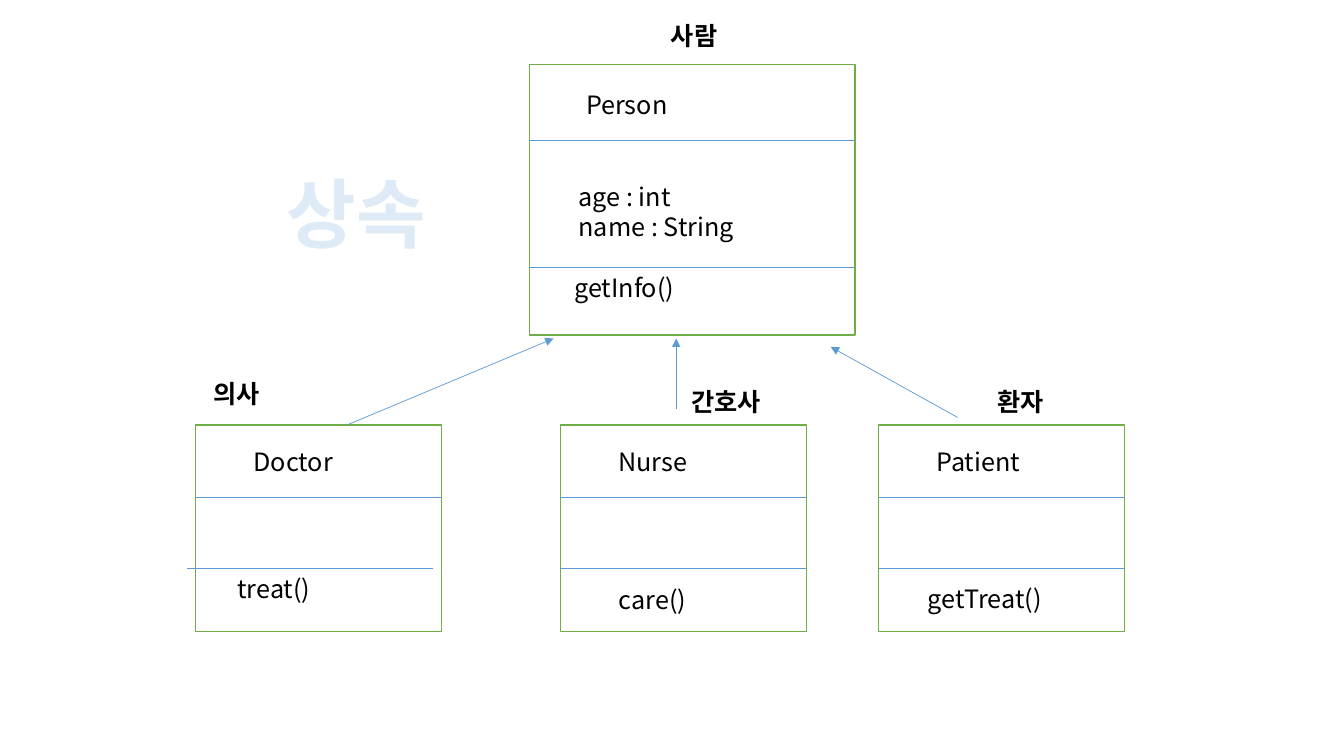
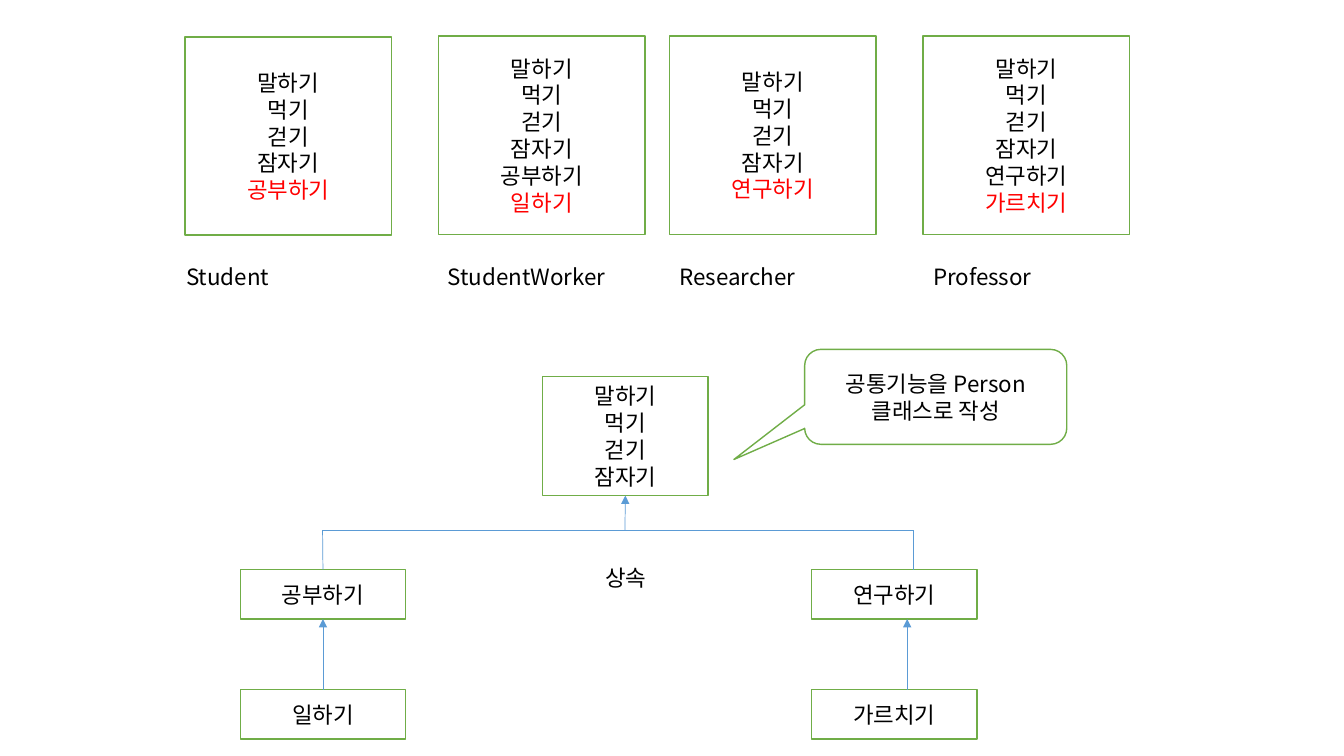
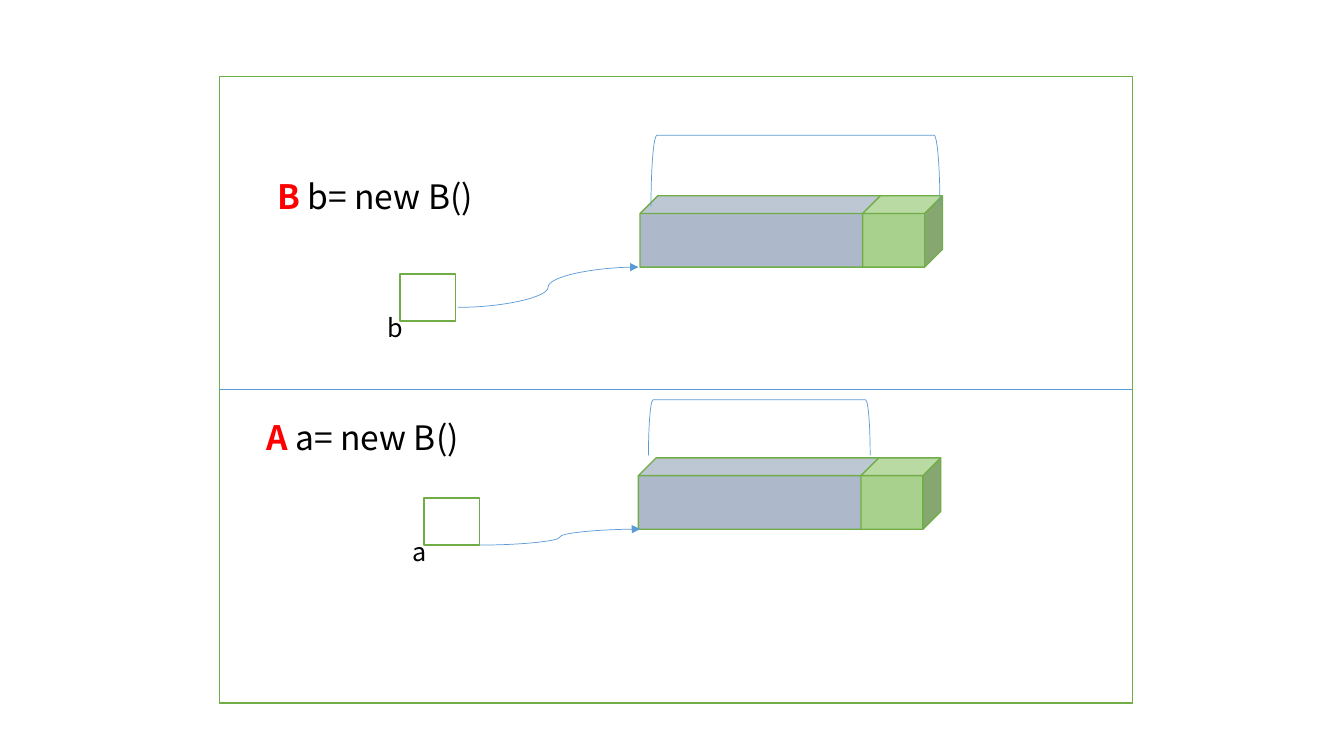
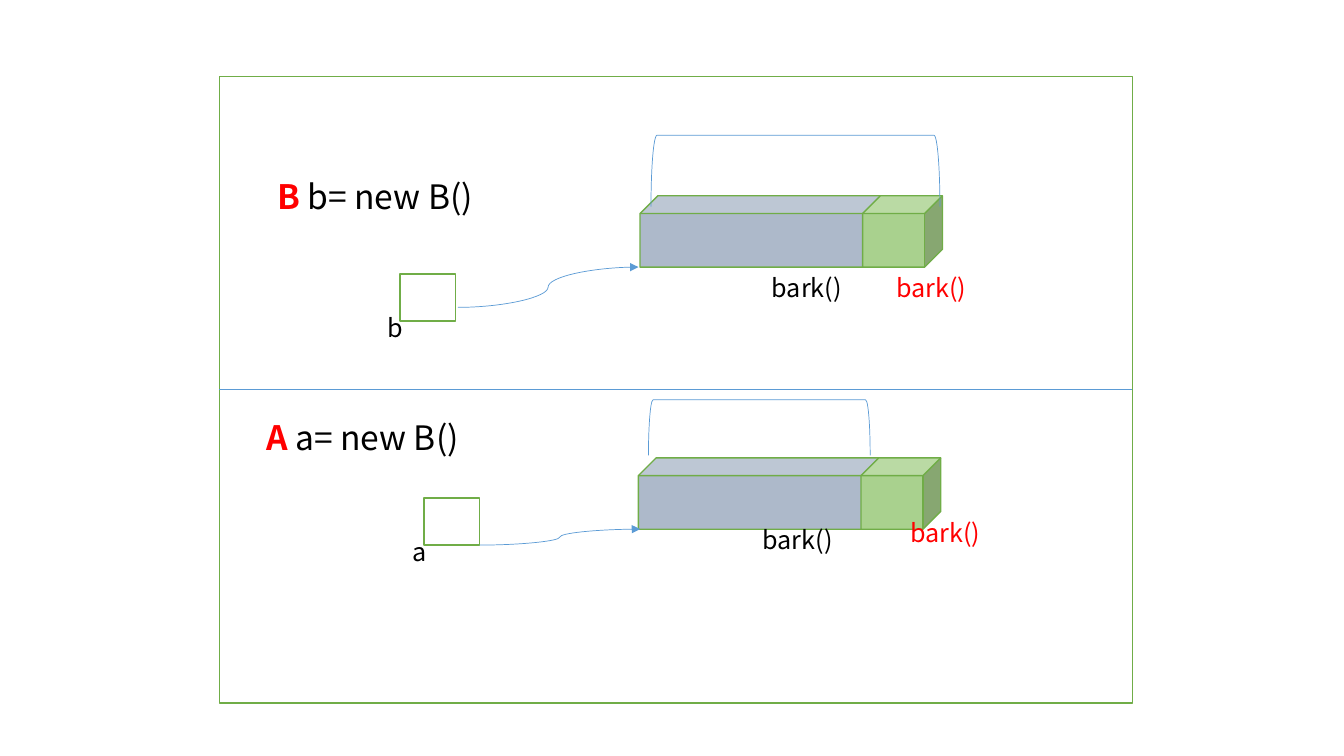
"""Build four slides on class inheritance, laid out on a grid of 160 columns by 90 rows."""

import pptx
import pptx.util
import pptx.oxml.ns
from pptx.dml.color import RGBColor
from pptx.enum.shapes import MSO_CONNECTOR, MSO_SHAPE
from pptx.enum.text import MSO_ANCHOR, MSO_AUTO_SIZE, PP_ALIGN

BLACK = RGBColor(0x00, 0x00, 0x00)
WHITE = RGBColor(0xFF, 0xFF, 0xFF)
RED = RGBColor(0xFF, 0x00, 0x00)
GREEN = RGBColor(0x70, 0xAD, 0x47)
BLUE = RGBColor(0x5B, 0x9B, 0xD5)
PALE_BLUE = RGBColor(0xDE, 0xEB, 0xF7)
STEEL = RGBColor(0xAD, 0xB9, 0xCA)
LIGHT_GREEN = RGBColor(0xA9, 0xD1, 0x8E)

FONT = "Noto Sans CJK KR"
COLUMNS, ROWS = 160, 90
CELL = pptx.util.Inches(1) / 12
TITLE_ONLY, BLANK = 5, 6
TOP, BOTTOM = 0, 2


def cells(*lengths):
    return [pptx.util.Emu(round(length * CELL)) for length in lengths]


def set_attributes(target, values):
    for name, value in values.items():
        setattr(target, name, value)


class Deck:
    def __init__(self):
        self.presentation = pptx.Presentation()
        width, height = cells(COLUMNS, ROWS)
        set_attributes(self.presentation, {"slide_width": width, "slide_height": height})
        self.slide = None

    def new_slide(self, layout=BLANK):
        self.slide = self.presentation.slides.add_slide(self.presentation.slide_layouts[layout])

    def fill_text(self, frame, paragraphs, size, align=PP_ALIGN.LEFT, color=BLACK, bold=False):
        for index, runs in enumerate(paragraphs):
            paragraph = frame.paragraphs[0] if index == 0 else frame.add_paragraph()
            set_attributes(paragraph, {
                "alignment": align,
                "line_spacing": pptx.util.Pt(1.2 * size),
                "space_before": pptx.util.Pt(0),
            })
            if isinstance(runs, str):
                runs = [(runs, color, bold)]
            for text, run_color, run_bold in runs:
                run = paragraph.add_run()
                run.text = text
                set_attributes(run.font, {
                    "name": FONT, "size": pptx.util.Pt(size), "bold": run_bold,
                })
                run.font.color.rgb = run_color
                properties = run.font._element
                east_asian = properties.makeelement(
                    pptx.oxml.ns.qn("a:ea"), {"typeface": FONT})
                properties.find(pptx.oxml.ns.qn("a:latin")).addnext(east_asian)

    def title(self, text, box, size):
        title = self.slide.shapes.title
        left, top, width, height = cells(*box)
        set_attributes(title, {"left": left, "top": top, "width": width, "height": height})
        set_attributes(title.text_frame, {
            "vertical_anchor": MSO_ANCHOR.MIDDLE,
            "auto_size": MSO_AUTO_SIZE.NONE,
            "word_wrap": True,
        })
        self.fill_text(title.text_frame, [text], size, PP_ALIGN.CENTER, PALE_BLUE, True)

    def text(self, left, top, width, *paragraphs, size=18, **style):
        height = len(paragraphs) * size / 5 + 1.2
        box = self.slide.shapes.add_textbox(*cells(left, top, width, height))
        set_attributes(box.text_frame, {
            "word_wrap": True, "auto_size": MSO_AUTO_SIZE.SHAPE_TO_FIT_TEXT,
        })
        self.fill_text(box.text_frame, paragraphs, size, **style)

    def shape(self, left, top, width, height, paragraphs=(), kind=MSO_SHAPE.RECTANGLE, fill=WHITE):
        shape = self.slide.shapes.add_shape(kind, *cells(left, top, width, height))
        shape.shadow.inherit = False
        shape.fill.solid()
        shape.fill.fore_color.rgb = fill
        shape.line.color.rgb = GREEN
        shape.line.width = pptx.util.Pt(1)
        self.fill_text(shape.text_frame, paragraphs, 16, PP_ALIGN.CENTER)
        return shape

    def bracket(self, left, top, width, height):
        offset = (width - height) / 2
        bracket = self.shape(left + offset, top - offset, height, width,
                             kind=MSO_SHAPE.RIGHT_BRACKET)
        bracket.rotation = 270
        bracket.fill.background()
        bracket.line.color.rgb = BLUE
        bracket.line.width = pptx.util.Pt(0.5)

    def line(self, start, end, arrow=False, kind=MSO_CONNECTOR.STRAIGHT,
             start_join=None, end_join=None):
        connector = self.slide.shapes.add_connector(kind, *cells(*start, *end))
        if start_join:
            connector.begin_connect(*start_join)
        if end_join:
            connector.end_connect(*end_join)
        connector.line.color.rgb = BLUE
        connector.line.width = pptx.util.Pt(0.5)
        properties = connector.element.spPr
        if arrow:
            outline = properties.find(pptx.oxml.ns.qn("a:ln"))
            outline.append(outline.makeelement(
                pptx.oxml.ns.qn("a:tailEnd"), {"type": "triangle"}))
        properties.append(properties.makeelement(pptx.oxml.ns.qn("a:effectLst"), {}))

    def class_box(self, box, dividers, divider_shift=0):
        left, top, width, _ = box
        self.shape(*box)
        for row, shift in zip(dividers, (0, divider_shift)):
            self.line((left + shift, top + row), (left + width + shift, top + row))


def class_diagram(deck):
    deck.new_slide(TITLE_ONLY)
    deck.title("상속", (30.4, 19.5, 24, 11.5), 54)
    deck.class_box((63, 7.7, 38.8, 32.2), (9, 24.1))
    deck.text(68.6, 10.1, 30.2, "Person")
    deck.text(67.7, 21, 30.2, "age : int", "name : String")
    deck.text(67.2, 31.8, 30.2, "getInfo()")
    subclasses = [
        (23.3, "Doctor", "treat()", (27.1, 67.7), -1),
        (66.7, "Nurse", "care()", (72.5, 69), 0),
        (104.6, "Patient", "getTreat()", (109.3, 68.9), 0),
    ]
    for left, name, method, method_at, shift in subclasses:
        deck.class_box((left, 50.6, 29.3, 24.6), (8.6, 17.1), shift)
        deck.text(left + 5.7, 52.6, 16.1, name)
        deck.text(*method_at, 16.1, method)
    arrows = [
        ((41.3, 50.6), (65.9, 40.3)),
        ((80.5, 48.7), (80.5, 40.3)),
        ((114, 49.7), (98.9, 41.3)),
    ]
    for start, end in arrows:
        deck.line(start, end, arrow=True)
    labels = [
        (78.7, 1.8, 9.4, "사람"),
        (24.2, 44.5, 9.4, "의사"),
        (81.1, 45.4, 13.9, "간호사"),
        (117.6, 45.4, 13.9, "환자"),
    ]
    for label in labels:
        deck.text(*label, bold=True)


def shared_features(deck):
    deck.new_slide()
    common = ["말하기", "먹기", "걷기", "잠자기"]
    roles = [
        (22, 4.4, 21, "Student", [], "공부하기"),
        (52.2, 4.3, 52.1, "StudentWorker", ["공부하기"], "일하기"),
        (79.7, 4.3, 79.7, "Researcher", [], "연구하기"),
        (109.9, 4.3, 109.9, "Professor", ["연구하기"], "가르치기"),
    ]
    for left, top, label_left, name, inherited, added in roles:
        deck.shape(left, top, 24.6, 23.6, common + inherited + [[(added, RED, False)]])
        deck.text(label_left, 30.7, 28.3, name, size=16)

    person = deck.shape(64.6, 44.8, 19.7, 14.2, common)
    student, worker, researcher, professor = [
        deck.shape(left, top, 19.7, 5.9, [skill])
        for left, top, skill in [
            (28.6, 67.8, "공부하기"), (28.6, 82.1, "일하기"),
            (96.6, 67.8, "연구하기"), (96.6, 82.1, "가르치기"),
        ]
    ]
    bus = 63.1
    deck.line((38.4, 67.8), (38.4, bus), start_join=(student, TOP))
    deck.line((108.7, 67.8), (108.7, bus))
    deck.line((38.4, bus), (108.7, bus))
    deck.line((38.4, 82.1), (38.4, 73.7), arrow=True,
              start_join=(worker, TOP), end_join=(student, BOTTOM))
    deck.line((108, 82.1), (108, 73.7), arrow=True)
    deck.line((74.4, bus), (74.4, 59), arrow=True, end_join=(person, BOTTOM))

    callout = deck.shape(95.8, 41.6, 31.2, 11.3, ["공통기능을 Person클래스로 작성"],
                         MSO_SHAPE.ROUNDED_RECTANGULAR_CALLOUT)
    for index, value in enumerate((-0.77, 0.66, 0.17)):
        callout.adjustments[index] = value
    deck.text(70.9, 66.6, 15.1, "상속", size=16)


def object_memory(deck, methods=()):
    deck.new_slide()
    deck.shape(26.1, 9.1, 108.7, 74.6)
    deck.line((26.1, 46.4), (134.8, 46.4))
    references = [
        ("B", "b", (31.8, 20.4), (76.2, 23.3), (47.6, 32.6), (54.5, 36.6), (76, 31.8)),
        ("A", "a", (30.5, 49), (76, 54.5), (50.5, 59.3), (57.1, 64.9), (76.2, 63)),
    ]
    for kind, name, code_at, (left, top), (box_left, box_top), start, end in references:
        deck.shape(left, top, 29.3, 8.5, kind=MSO_SHAPE.CUBE, fill=STEEL)
        deck.shape(left + 26.5, top, 9.5, 8.5, kind=MSO_SHAPE.CUBE, fill=LIGHT_GREEN)
        deck.text(*code_at, 38.8,
                  [(kind, RED, True), (f" {name}= new B()", BLACK, False)], size=24)
        deck.shape(box_left, box_top, 6.6, 5.6)
        deck.text(box_left - 2.6, box_top + 4, 6.6, name)
        deck.line(start, end, arrow=True, kind=MSO_CONNECTOR.CURVE)
    deck.bracket(77.2, 47.6, 26.4, 6.6)
    deck.bracket(77.5, 16.1, 34.4, 8.5)
    for left, top, color in methods:
        deck.text(left, top, 14.6, "bark()", color=color)


def main():
    deck = Deck()
    class_diagram(deck)
    shared_features(deck)
    object_memory(deck)
    object_memory(deck, [
        (90.7, 31.8, BLACK), (105.5, 31.8, RED),
        (89.6, 61.8, BLACK), (107.2, 61, RED),
    ])
    deck.presentation.save("out.pptx")


if __name__ == "__main__":
    main()
